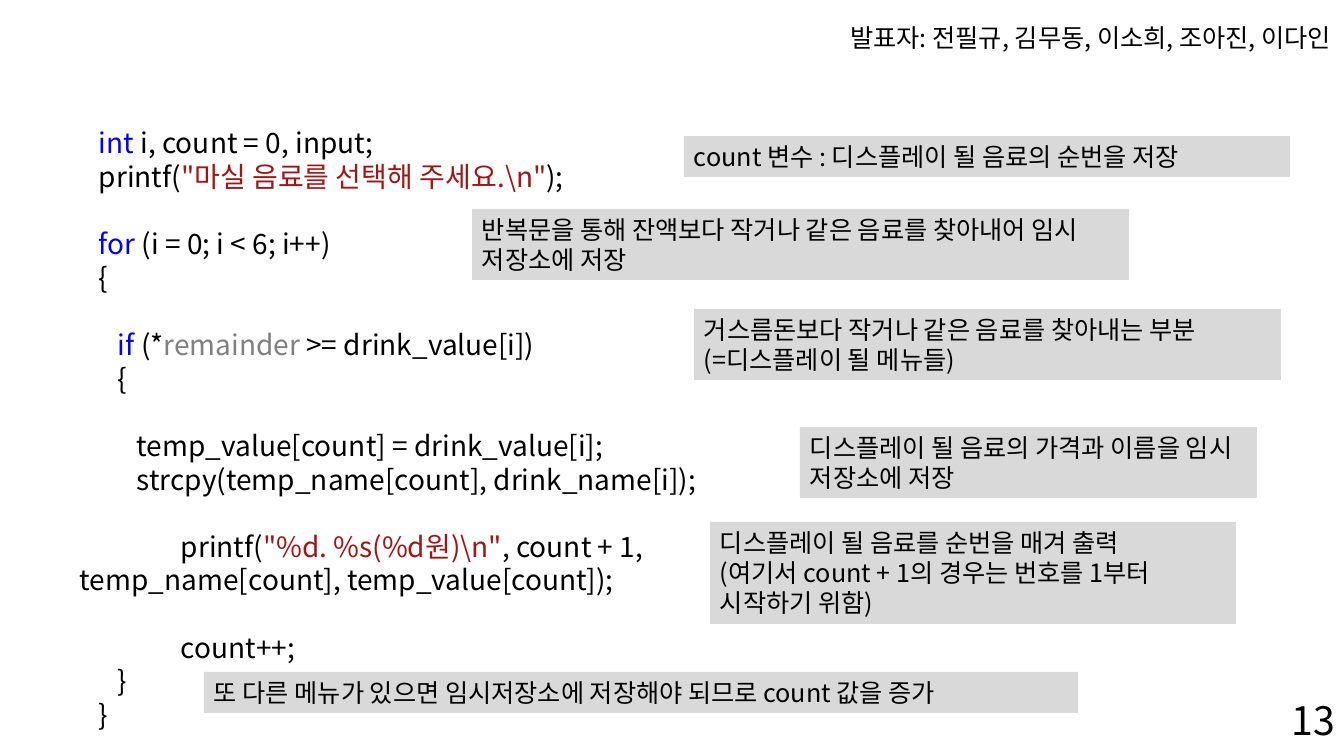
from pptx import Presentation
from pptx import util as u
from pptx.dml.color import RGBColor
from pptx.enum import shapes, text
from pptx.oxml.ns import qn
from lxml import etree

SLIDE_W, SLIDE_H = 1344, 756
SCALE = 12192000 / SLIDE_W
FONT = "Noto Sans CJK KR"
BLACK = RGBColor(0x00, 0x00, 0x00)
KEYWORD = RGBColor(0x00, 0x00, 0xFF)
STRING = RGBColor(0xA3, 0x15, 0x15)
PARAMETER = RGBColor(0x80, 0x80, 0x80)
CALLOUT_FILL = RGBColor(0xD9, 0xD9, 0xD9)
LEVEL = 19
TAB = 101
CODE_SIZE = 20
BLANK_LINE = 24

# (left indent, first-line indent, space before, coloured runs)
CODE = [
    (LEVEL, 0, 0, [("int ", KEYWORD), ("i, count = 0, input;", BLACK)]),
    (LEVEL, 0, 0, [("printf(", BLACK), ('"마실 음료를 선택해 주세요.\\n"', STRING), (");", BLACK)]),
    (LEVEL, 0, BLANK_LINE, [("for", KEYWORD), (" (i = 0; i < 6; i++)", BLACK)]),
    (LEVEL, 0, 0, [("{", BLACK)]),
    (2 * LEVEL, 0, BLANK_LINE, [("if", KEYWORD), (" (*", BLACK), ("remainder", PARAMETER),
                                (" >= drink_value[i])", BLACK)]),
    (2 * LEVEL, 0, 0, [("{", BLACK)]),
    (3 * LEVEL, 0, BLANK_LINE, [("temp_value[count] = drink_value[i];", BLACK)]),
    (3 * LEVEL, 0, 0, [("strcpy(temp_name[count], drink_name[i]);", BLACK)]),
    (0, TAB, BLANK_LINE, [("printf(", BLACK), ('"%d. %s(%d원)\\n"', STRING),
                          (", count + 1, temp_name[count], temp_value[count]);", BLACK)]),
    (0, TAB, BLANK_LINE, [("count++;", BLACK)]),
    (2 * LEVEL, 0, 0, [("}", BLACK)]),
    (LEVEL, 0, 0, [("}", BLACK)]),
]

CALLOUTS = [
    ((684, 136, 606, 41), ["count 변수 : 디스플레이 될 음료의 순번을 저장"]),
    ((472, 209, 657, 71), ["반복문을 통해 잔액보다 작거나 같은 음료를 찾아내어 임시 저장소에 저장"]),
    ((694, 309, 587, 71), ["거스름돈보다 작거나 같은 음료를 찾아내는 부분", "(=디스플레이 될 메뉴들)"]),
    ((800, 427, 457, 71), ["디스플레이 될 음료의 가격과 이름을 임시 저장소에 저장"]),
    ((710, 522, 526, 102), ["디스플레이 될 음료를 순번을 매겨 출력",
                            "(여기서 count + 1의 경우는 번호를 1부터 시작하기 위함)"]),
    ((204, 672, 874, 41), ["또 다른 메뉴가 있으면 임시저장소에 저장해야 되므로 count 값을 증가"]),
]


def px(length):
    return u.Emu(round(length * SCALE))


def add_run(paragraph, words, size, color=BLACK):
    run = paragraph.add_run()
    run.text = words
    for name, value in {"name": FONT, "size": u.Pt(size)}.items():
        setattr(run.font, name, value)
    run.font.color.rgb = color
    east_asian = etree.SubElement(run.font._element, qn("a:ea"))
    east_asian.set("typeface", FONT)


def paragraphs(frame, count):
    """Yield the given number of paragraphs, starting with the frame's own."""
    yield frame.paragraphs[0]
    for _ in range(count - 1):
        yield frame.add_paragraph()


def prepare_frame(shape):
    frame = shape.text_frame
    settings = {"word_wrap": True, "vertical_anchor": text.MSO_ANCHOR.TOP}
    for name, value in settings.items():
        setattr(frame, name, value)
    return frame


def add_label(slide, box, words, size, align=text.PP_ALIGN.LEFT):
    label = slide.shapes.add_textbox(*map(px, box))
    paragraph = prepare_frame(label).paragraphs[0]
    paragraph.alignment = align
    add_run(paragraph, words, size)


def add_code(slide, box):
    listing = slide.shapes.add_textbox(*map(px, box))
    frame = prepare_frame(listing)
    for paragraph, line in zip(paragraphs(frame, len(CODE)), CODE):
        left, first, before, runs = line
        paragraph.space_before = u.Pt(before)
        properties = paragraph._p.get_or_add_pPr()
        for name, value in {"marL": left, "indent": first}.items():
            properties.set(name, str(px(value)))
        for words, color in runs:
            add_run(paragraph, words, CODE_SIZE, color)


def add_callout(slide, box, lines):
    callout = slide.shapes.add_shape(shapes.MSO_SHAPE.RECTANGLE, *map(px, box))
    callout.shadow.inherit = False
    callout.fill.solid()
    callout.fill.fore_color.rgb = CALLOUT_FILL
    callout.line.fill.background()
    frame = prepare_frame(callout)
    for paragraph, words in zip(paragraphs(frame, len(lines)), lines):
        paragraph.alignment = text.PP_ALIGN.LEFT
        add_run(paragraph, words, 18)


def main():
    deck = Presentation()
    deck.slide_width, deck.slide_height = px(SLIDE_W), px(SLIDE_H)
    slide = deck.slides.add_slide(deck.slide_layouts.get_by_name("Blank"))
    add_code(slide, (70, 121, 803, 621))
    for box, lines in CALLOUTS:
        add_callout(slide, box, lines)
    add_label(slide, (790, 17, 551, 40), "발표자: 전필규, 김무동, 이소희, 조아진, 이다인",
              18, text.PP_ALIGN.RIGHT)
    add_label(slide, (1282, 691, 64, 57), "13", 28)
    deck.save("out.pptx")


if __name__ == "__main__":
    main()
